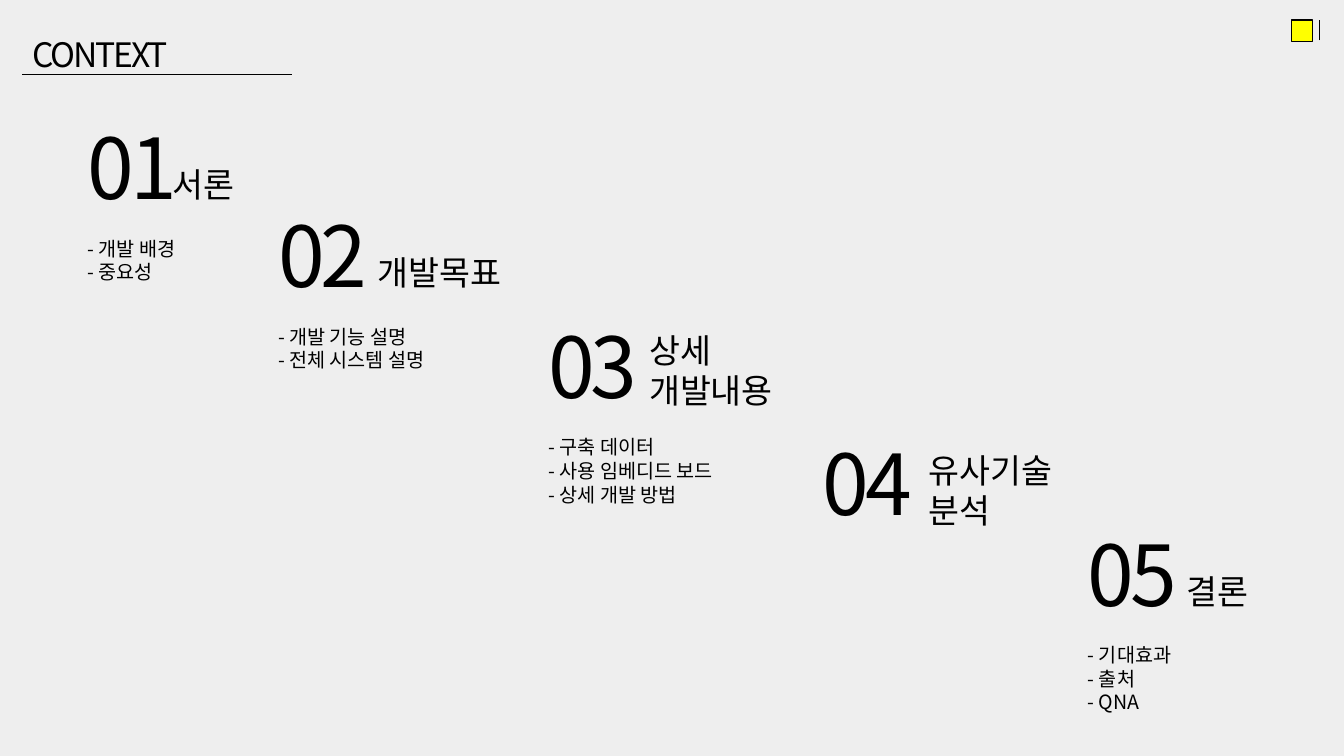
from lxml import etree
from pptx import Presentation
from pptx import util as u
from pptx.dml.color import RGBColor
from pptx.enum import shapes, text
from pptx.oxml.ns import qn

BLACK = RGBColor(0x00, 0x00, 0x00)
YELLOW = RGBColor(0xFF, 0xFF, 0x00)
GREY = RGBColor(0xEE, 0xEE, 0xEE)
FONT = "Noto Sans CJK KR"

SECTIONS = [
    ("01", 0.77, 1.1, ["서론"], (1.61, 1.38, 1.12, 0.63), 1.5,
     ["- 개발 배경", "- 중요성"]),
    ("02", 2.66, 1.97, ["개발목표"], (3.65, 2.25, 1.65, 0.63), 1.5,
     ["- 개발 기능 설명", "- 전체 시스템 설명"]),
    ("03", 5.34, 3.07, ["상세", "개발내용"], (6.34, 3.22, 1.67, 0.91), 1,
     ["- 구축 데이터", "- 사용 임베디드 보드", "- 상세 개발 방법"]),
    ("04", 8.06, 4.23, ["유사기술 분석"], (9.11, 4.41, 1.67, 0.91), 1, []),
    ("05", 10.69, 5.13, ["결론"], (11.67, 5.41, 1.63, 0.63), 1.5,
     ["- 기대효과", "- 출처", "- QNA"]),
]


class ContentsPage:
    def __init__(self, deck):
        self.page = deck.slides.add_slide(deck.slide_layouts[5])
        self.page.background.fill.solid()
        self.page.background.fill.fore_color.rgb = GREY

    def fill_text(self, box, lines, size, spacing=1, tracking=0):
        frame = box.text_frame
        frame.word_wrap = True
        frame.auto_size = text.MSO_AUTO_SIZE.NONE
        frame.vertical_anchor = text.MSO_ANCHOR.TOP
        for index, line in enumerate(lines):
            para = frame.add_paragraph() if index else frame.paragraphs[0]
            para.alignment = text.PP_ALIGN.LEFT
            para.line_spacing = spacing
            span = para.add_run()
            span.text = line
            span.font.size = u.Pt(size)
            span.font.name = FONT
            span.font.color.rgb = BLACK
            properties = span.font._element
            etree.SubElement(properties, qn("a:ea")).set("typeface", FONT)
            if tracking:
                properties.set("spc", str(int(tracking * 100)))

    def title(self, line, left, top, width, height):
        box = self.page.shapes.title
        box.left, box.top = u.Inches(left), u.Inches(top)
        box.width, box.height = u.Inches(width), u.Inches(height)
        self.fill_text(box, [line], 24, tracking=-1.5)

    def text_box(self, parent, place, lines, size, **style):
        box = parent.shapes.add_textbox(*map(u.Inches, place))
        self.fill_text(box, lines, size, **style)

    def rule(self, parent, *ends):
        line = parent.shapes.add_connector(
            shapes.MSO_CONNECTOR.STRAIGHT, *map(u.Inches, ends))
        line.line.color.rgb = BLACK
        line.line.width = u.Pt(0.5)
        etree.SubElement(line._element.spPr, qn("a:effectLst"))

    def square(self, parent, left, top, side):
        square = parent.shapes.add_shape(
            shapes.MSO_SHAPE.RECTANGLE, *map(u.Inches, (left, top, side, side)))
        square.shadow.inherit = False
        square.fill.solid()
        square.fill.fore_color.rgb = YELLOW
        square.line.color.rgb = BLACK
        square.line.width = u.Pt(1)

    def corner_mark(self):
        group = self.page.shapes.add_group_shape()
        self.square(group, 12.81, 0.2, 0.21)
        self.rule(group, 13.09, 0.4, 13.09, 0.2)

    def section(self, number, left, top, topic, topic_place, spacing, items):
        group = self.page.shapes.add_group_shape()
        self.text_box(group, (left, top, 1.48, 1.21), [number], 60, tracking=-3)
        self.text_box(group, topic_place, topic, 24, spacing=spacing)
        if items:
            height = 0.1 + 0.24 * len(items)
            self.text_box(group, (left, top + 1.2, 2.44, height), items, 14)


def main():
    deck = Presentation()
    deck.slide_width, deck.slide_height = u.Inches(13.33), u.Inches(7.5)
    contents = ContentsPage(deck)
    contents.title("CONTEXT", 0.22, 0.29, 3.12, 0.5)
    contents.rule(contents.page, 0.22, 0.74, 2.9, 0.74)
    contents.corner_mark()
    for section in SECTIONS:
        contents.section(*section)
    deck.save("out.pptx")


if __name__ == "__main__":
    main()
